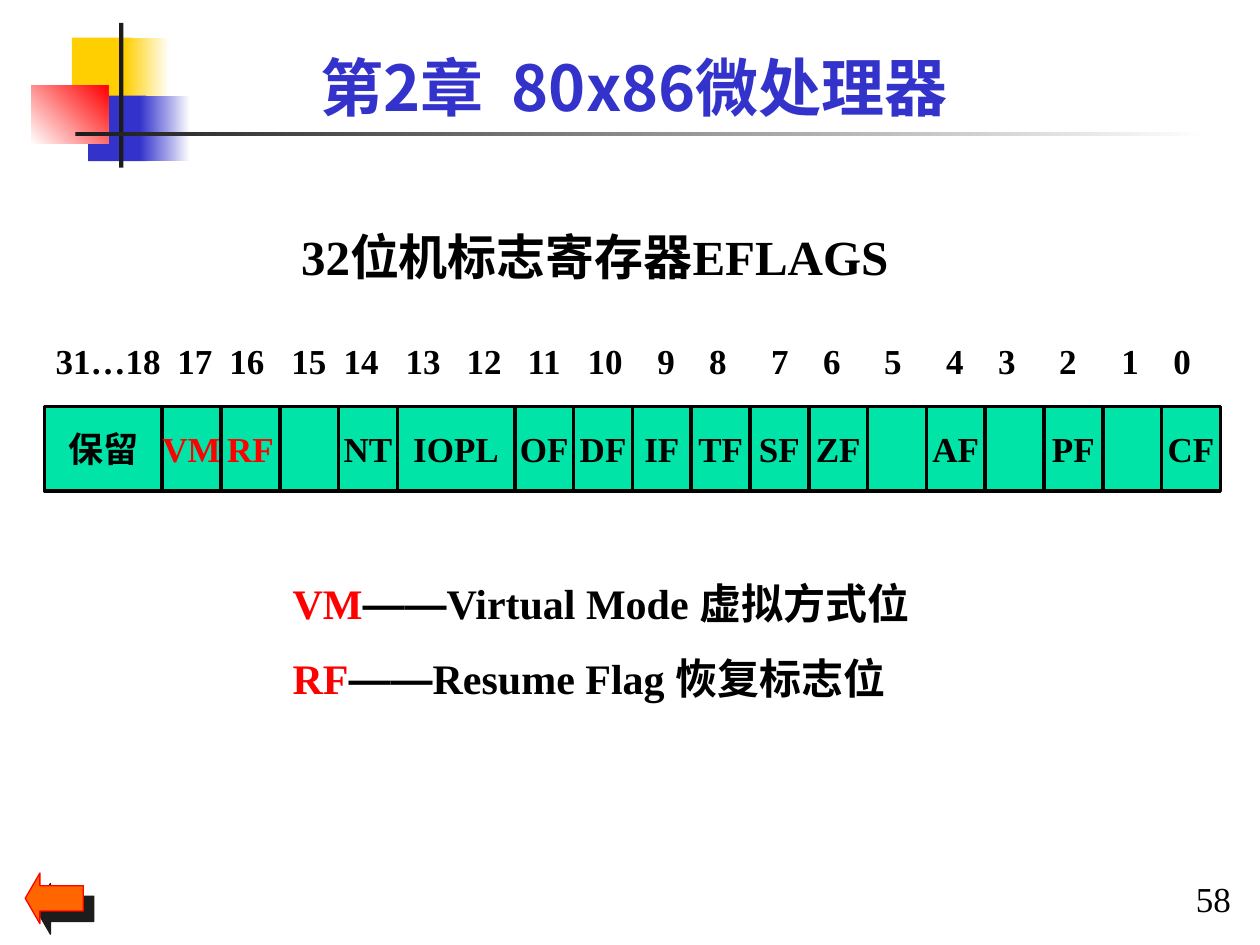
from dataclasses import dataclass
from typing import Optional

from lxml.etree import SubElement
from pptx import Presentation
from pptx.dml.color import RGBColor
from pptx.enum.shapes import MSO_SHAPE
from pptx.enum.text import MSO_ANCHOR, MSO_AUTO_SIZE, PP_ALIGN
from pptx.oxml.ns import qn
from pptx.util import Cm, Pt

COLORS = {
    "black": "000000", "white": "FFFFFF", "ink": "1C1C1C", "yellow": "FFCF01",
    "blue": "3333CC", "red": "FF0000", "green": "00E4A8", "orange": "FF6600",
}
SERIF, SANS, CJK = "Times New Roman", "Arial", "Noto Sans CJK SC"


@dataclass
class Block:
    left: float
    top: float
    width: float
    height: float
    color: str
    end: Optional[str] = None
    angle: float = 0


@dataclass
class Flag:
    name: str
    bits: int = 1
    color: str = "black"


@dataclass
class Note:
    flag: str
    meaning: str


BLOCKS = [
    Block(1.45, 0.76, 1.22, 1.32, "yellow"),
    Block(2.51, 0.76, 0.91, 1.32, "yellow", "white"),
    Block(1.78, 1.93, 1.17, 1.32, "blue"),
    Block(2.82, 1.93, 1.02, 1.32, "blue", "white"),
    Block(0.63, 1.72, 1.55, 1.18, "white", "red", 45),
    Block(2.4, 0.46, 0.09, 2.92, "ink"),
    Block(1.52, 2.66, 22.86, 0.09, "ink", "white"),
]
FLAGS = [
    Flag("保留", 2), Flag("VM", color="red"), Flag("RF", color="red"), Flag(""),
    Flag("NT"), Flag("IOPL", 2), Flag("OF"), Flag("DF"), Flag("IF"), Flag("TF"),
    Flag("SF"), Flag("ZF"), Flag(""), Flag("AF"), Flag(""), Flag("PF"), Flag(""),
    Flag("CF"),
]
BIT_TABS = [2.81, 3.86, 5.11, 6.16, 7.41, 8.64, 9.85, 11.08, 12.31, 13.35,
            14.6, 15.65, 16.88, 18.13, 19.18, 20.41, 21.66, 22.71]
NOTES = [Note("VM", "Virtual Mode 虚拟方式位"), Note("RF", "Resume Flag 恢复标志位")]
REG_LEFT, REG_TOP, REG_HEIGHT, BIT_WIDTH = 0.9, 8.2, 1.7, 1.185


def rgb(name: str) -> RGBColor:
    return RGBColor.from_string(COLORS[name])


def add_run(p, text: str, size: float, color: str = "black",
            font: str = SERIF, bold: bool = True) -> None:
    r = p.add_run()
    r.text = text
    r.font.size = Pt(size)
    r.font.bold = bold
    r.font.name = font
    r.font.color.rgb = rgb(color)
    ea = SubElement(r._r.get_or_add_rPr(), qn("a:ea"))
    ea.set("typeface", SANS if font == SANS else CJK)


def set_frame(tf, anchor=MSO_ANCHOR.TOP, wrap: bool = True) -> None:
    tf.margin_left = tf.margin_right = tf.margin_top = tf.margin_bottom = 0
    tf.vertical_anchor = anchor
    tf.word_wrap = wrap
    tf.auto_size = MSO_AUTO_SIZE.NONE


def add_text(s, left: float, top: float, width: float, height: float,
             anchor=MSO_ANCHOR.TOP, wrap: bool = True):
    sp = s.shapes.add_textbox(Cm(left), Cm(top), Cm(width), Cm(height))
    set_frame(sp.text_frame, anchor, wrap)
    return sp.text_frame


def add_block(s, block: Block, kind=MSO_SHAPE.RECTANGLE):
    sp = s.shapes.add_shape(kind, Cm(block.left), Cm(block.top),
                            Cm(block.width), Cm(block.height))
    sp.shadow.inherit = False
    sp.line.fill.background()
    if block.end:
        sp.fill.gradient()
        sp.fill.gradient_angle = block.angle
        for stop, name in zip(sp.fill.gradient_stops, (block.color, block.end)):
            stop.color.rgb = rgb(name)
    else:
        sp.fill.solid()
        sp.fill.fore_color.rgb = rgb(block.color)
    return sp


def set_line(sp, color: str, width: float) -> None:
    sp.line.color.rgb = rgb(color)
    sp.line.width = Pt(width)


def add_title(s) -> None:
    title = s.shapes.title
    title.left, title.top = Cm(3.66), Cm(0.97)
    title.width, title.height = Cm(18.24), Cm(1.52)
    set_frame(title.text_frame, MSO_ANCHOR.MIDDLE)
    p = title.text_frame.paragraphs[0]
    p.alignment = PP_ALIGN.CENTER
    add_run(p, "第2章  80x86微处理器", 36, "blue", CJK)


def add_register(s) -> None:
    left = REG_LEFT
    for flag in FLAGS:
        width = flag.bits * BIT_WIDTH
        sp = add_block(s, Block(left, REG_TOP, width, REG_HEIGHT, "green"))
        set_line(sp, "black", 2)
        if flag.name:
            set_frame(sp.text_frame, MSO_ANCHOR.MIDDLE, False)
            p = sp.text_frame.paragraphs[0]
            p.alignment = PP_ALIGN.CENTER
            add_run(p, flag.name, 20, flag.color)
        left += width


def add_bit_numbers(s) -> None:
    p = add_text(s, 1.12, 6.73, 23.3, 1.07, MSO_ANCHOR.MIDDLE).paragraphs[0]
    tabs = SubElement(p._p.get_or_add_pPr(), qn("a:tabLst"))
    for pos in BIT_TABS:
        tab = SubElement(tabs, qn("a:tab"))
        tab.set("pos", str(Cm(pos)))
        tab.set("algn", "ctr")
    add_run(p, "\t".join(["31…18", *map(str, range(17, -1, -1))]), 20)


def add_notes(s) -> None:
    tf = add_text(s, 5.9, 11.13, 14.6, 3.05)
    for i, note in enumerate(NOTES):
        p = tf.add_paragraph() if i else tf.paragraphs[0]
        p.line_spacing = 1.5
        add_run(p, note.flag, 24, "red")
        add_run(p, "——", 24, font=SANS)
        add_run(p, note.meaning, 24)


def add_back_arrow(s) -> None:
    sp = add_block(s, Block(0.51, 17.6, 1.17, 1.02, "orange"), MSO_SHAPE.LEFT_ARROW)
    sp.adjustments[0], sp.adjustments[1] = 0.5, 0.29
    set_line(sp, "red", 0.75)
    effects = sp._element.spPr.find(qn("a:effectLst"))
    shadow = SubElement(effects, qn("a:outerShdw"), dist=str(Pt(8.5)),
                        dir=str(45 * 60000), algn="ctr", rotWithShape="0")
    SubElement(shadow, qn("a:srgbClr"), val=COLORS["ink"])


def main() -> None:
    prs = Presentation()
    prs.slide_width, prs.slide_height = Cm(25.4), Cm(19.05)
    s = prs.slides.add_slide(prs.slide_layouts[5])
    for block in BLOCKS:
        add_block(s, block)
    add_title(s)
    p = add_text(s, 3.1, 4.32, 17.78, 1.42).paragraphs[0]
    p.alignment, p.line_spacing = PP_ALIGN.CENTER, 1.2
    add_run(p, "32位机标志寄存器EFLAGS", 28)
    add_register(s)
    add_bit_numbers(s)
    add_notes(s)
    add_back_arrow(s)
    p = add_text(s, 23.95, 17.68, 1.02, 0.86, MSO_ANCHOR.MIDDLE, False).paragraphs[0]
    p.alignment = PP_ALIGN.CENTER
    add_run(p, "58", 20, bold=False)
    prs.save("out.pptx")


if __name__ == "__main__":
    main()
